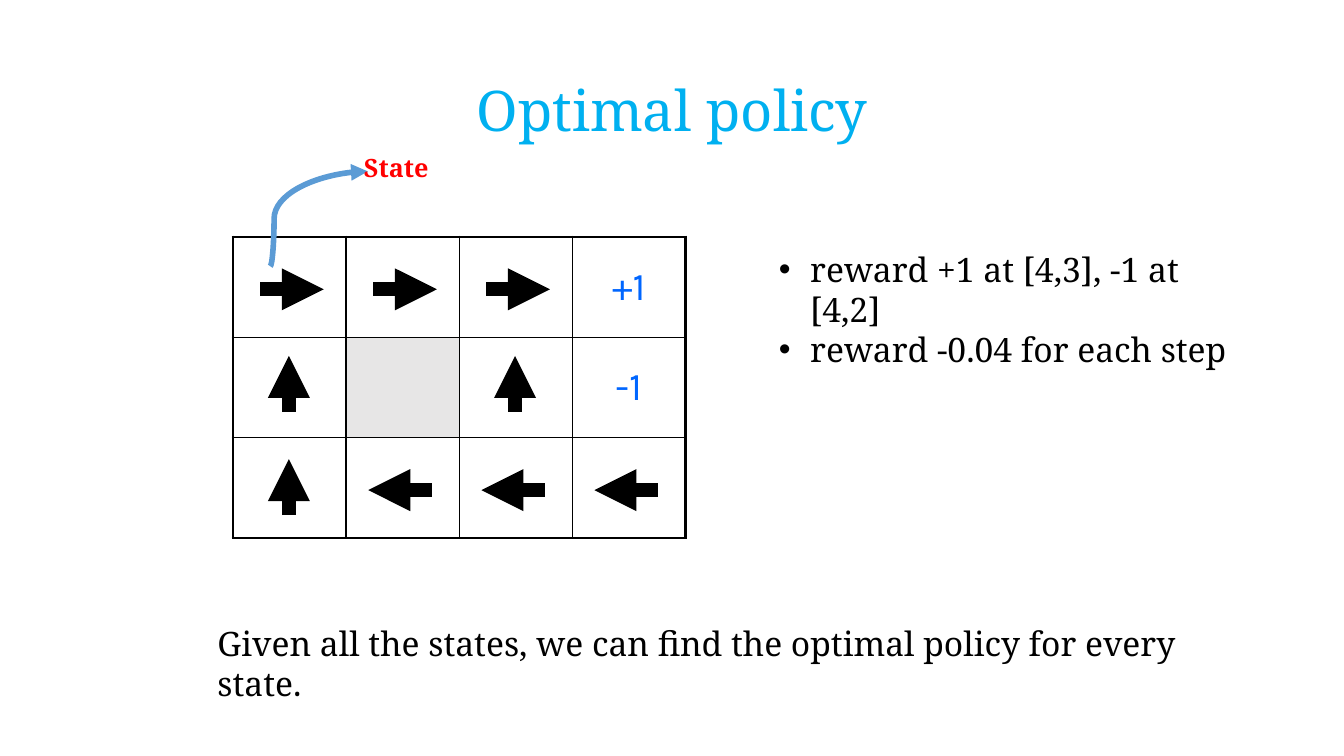
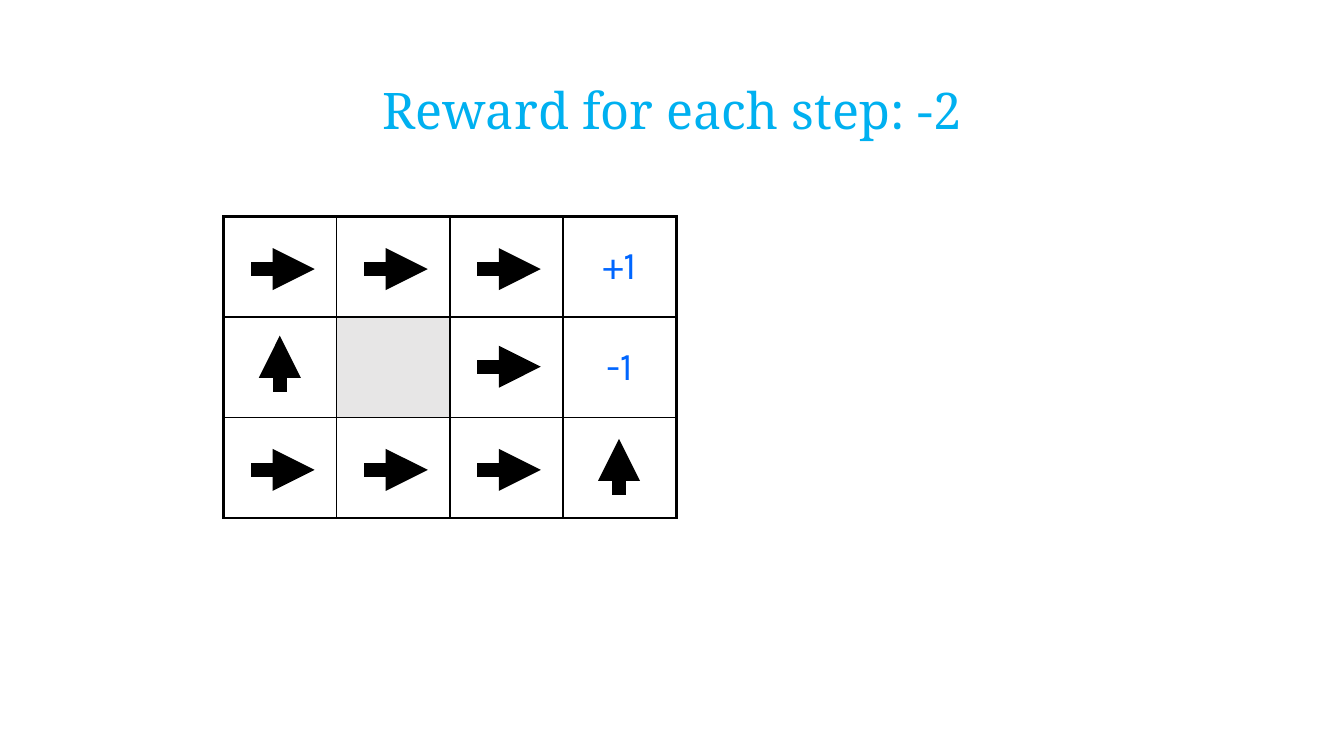
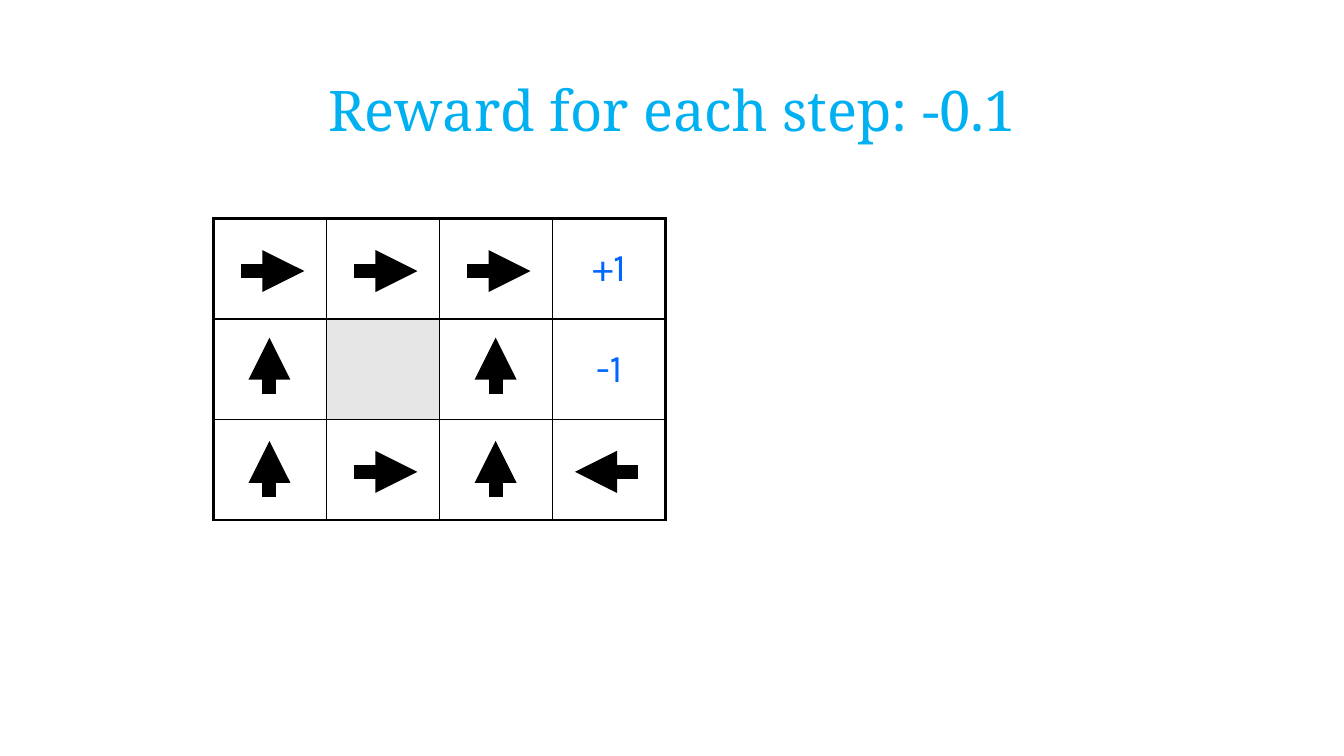
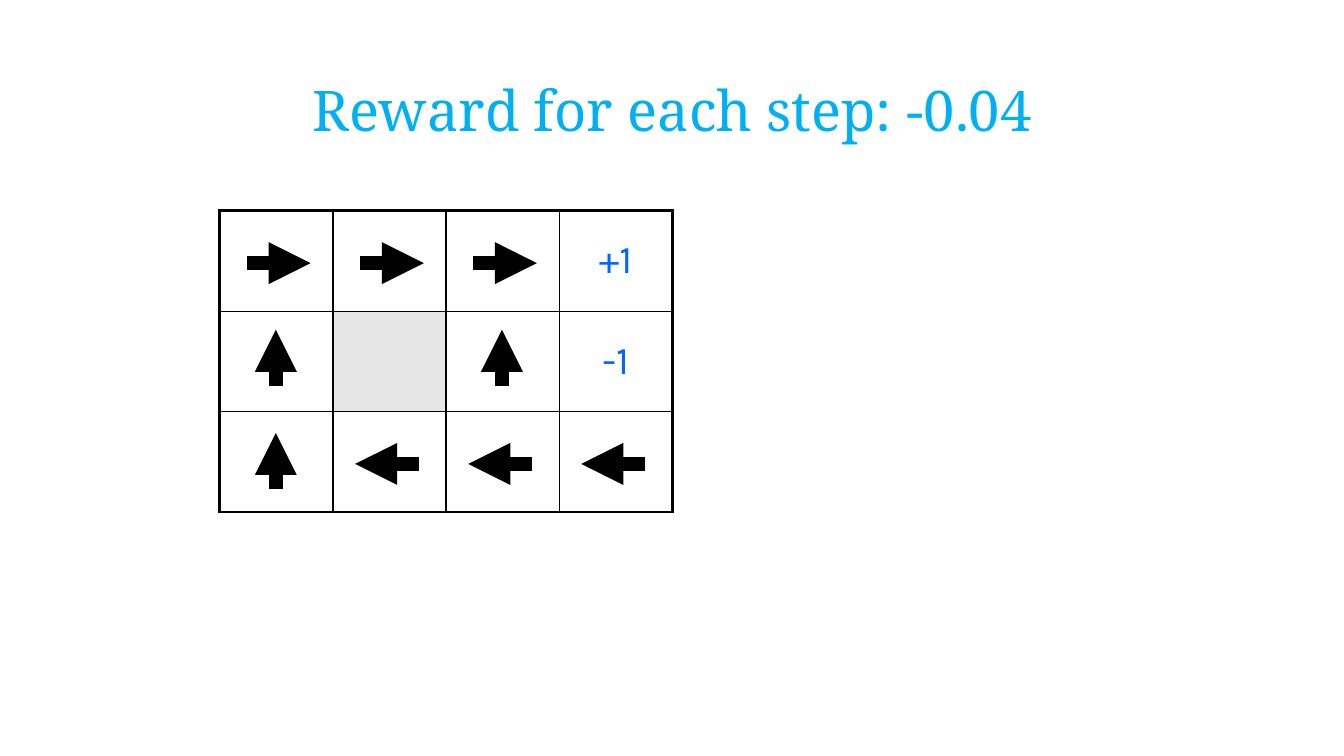
from lxml import etree
from pptx import Presentation
from pptx import util as u
from pptx.dml.color import RGBColor
from pptx.enum import shapes, text
from pptx.oxml.ns import qn

HUES = {"title": "00B0F0", "ink": "000000", "mark": "0066FF",
        "wall": "E7E6E6", "curve": "5B9BD5", "state": "FF0000"}
SERIF, SANS = "Noto Serif", "Karla"
WIDE, HIGH = 2.85, 2.53
MOVES = {"R": (0.69, 1.32, 2.29, 1.32),
         "L": (2.16, 1.32, 0.56, 1.32),
         "U": (1.41, 1.95, 1.41, 0.54)}
SHIFT = (0, -0.07, 0)
PRIZES = {"+": "+1", "-": "-1"}


def hue(name):
    return RGBColor.from_string(HUES[name])


def node(parent, tag, **attrs):
    return etree.SubElement(parent, qn(tag), attrs)


def write(frame, lines, size, color="ink", font=SERIF, bold=False,
          align=None, gap=None, before=None, bullet=False):
    for i, line in enumerate(lines):
        para = frame.paragraphs[0] if i == 0 else frame.add_paragraph()
        para.alignment = align
        para.line_spacing = gap
        para.space_before = before
        if bullet:
            props = para._p.get_or_add_pPr()
            props.set("marL", str(u.Cm(0.79)))
            props.set("indent", str(-u.Cm(0.79)))
            node(props, "a:buFont", typeface="Arial")
            node(props, "a:buChar", char="•")
        run = para.add_run()
        run.text = line
        run.font.size = u.Pt(size)
        run.font.name = font
        run.font.bold = bold
        run.font.color.rgb = hue(color)


class Deck:
    def __init__(self):
        self.prs = Presentation()
        self.prs.slide_width = u.Cm(33.87)
        self.prs.slide_height = u.Cm(19.05)

    def page(self, title, size=40):
        self.slide = self.prs.slides.add_slide(self.prs.slide_layouts[5])
        head = self.slide.shapes.title
        head.left, head.top = u.Cm(2.33), u.Cm(1.01)
        head.width, head.height = u.Cm(29.21), u.Cm(3.68)
        head.text_frame.vertical_anchor = text.MSO_ANCHOR.MIDDLE
        write(head.text_frame, [title], size, "title",
              align=text.PP_ALIGN.CENTER, gap=0.9)

    def box(self, left, top, width, height, lines, size, **style):
        area = self.slide.shapes.add_textbox(
            u.Cm(left), u.Cm(top), u.Cm(width), u.Cm(height))
        area.text_frame.word_wrap = True
        write(area.text_frame, lines, size, **style)

    def arrow(self, x1, y1, x2, y2, color="ink", weight=10,
              kind=shapes.MSO_CONNECTOR.STRAIGHT, bend=None):
        line = self.slide.shapes.add_connector(
            kind, u.Cm(x1), u.Cm(y1), u.Cm(x2), u.Cm(y2))
        line.line.width = u.Pt(weight)
        line.line.color.rgb = hue(color)
        node(line.line._get_or_add_ln(), "a:tailEnd", type="triangle")
        props = line._element.spPr
        node(props, "a:effectLst")
        if bend is not None:
            guides = props.find(qn("a:prstGeom")).find(qn("a:avLst"))
            node(guides, "a:gd", name="adj1", fmla=f"val {bend}")

    def edge(self, cell, side, weight):
        line = node(cell._tc.get_or_add_tcPr(), f"a:ln{side}",
                    w=str(u.Pt(weight)))
        fill = node(line, "a:solidFill")
        node(fill, "a:srgbClr", val=HUES["ink"])

    def cell(self, cell, sign, outer):
        for side in "LRTB":
            self.edge(cell, side, 2.25 if side in outer else 1)
        if sign == "#":
            cell.fill.solid()
            cell.fill.fore_color.rgb = hue("wall")
        else:
            cell.fill.background()
        if sign in PRIZES:
            cell.vertical_anchor = text.MSO_ANCHOR.MIDDLE
            write(cell.text_frame, [PRIZES[sign]], 28, "mark", SANS,
                  align=text.PP_ALIGN.CENTER, before=u.Pt(5.6))

    def grid(self, left, top, policy):
        rows, cols = len(policy), len(policy[0])
        table = self.slide.shapes.add_table(
            rows, cols, u.Cm(left), u.Cm(top),
            u.Cm(cols * WIDE), u.Cm(rows * HIGH)).table
        table.first_row = table.horz_banding = False
        for r, signs in enumerate(policy):
            for c, sign in enumerate(signs):
                outer = [side for side, on in (
                    ("L", c == 0), ("R", c == cols - 1),
                    ("T", r == 0), ("B", r == rows - 1)) if on]
                self.cell(table.cell(r, c), sign, outer)
                if sign in MOVES:
                    x1, y1, x2, y2 = MOVES[sign]
                    x = left + c * WIDE
                    y = top + r * HIGH + SHIFT[r]
                    self.arrow(x + x1, y + y1, x + x2, y + y2)


BEST = ("RRR+", "U#U-", "ULLL")
deck = Deck()

deck.page("Optimal policy")
deck.grid(5.87, 5.97, BEST)
deck.box(19.38, 6.15, 12.17, 2.31,
         ["reward +1 at [4,3], -1 at [4,2]", "reward -0.04 for each step"],
         24, bullet=True, gap=u.Pt(28.6))
deck.box(5.23, 15.57, 25.15, 1.27,
         ["Given all the states, we can find the optimal policy "
          "for every state."], 24, gap=u.Pt(28.6))
deck.arrow(6.81, 6.71, 9.27, 4.32, "curve", 4,
           shapes.MSO_CONNECTOR.CURVE, 4000)
deck.box(8.92, 3.71, 2.18, 1.02, ["State"], 18, color="state", bold=True,
         gap=u.Pt(21.5))

deck.page("Reward for each step: -2", 36)
deck.grid(5.64, 5.46, ("RRR+", "U#R-", "RRRU"))

deck.page("Reward for each step: -0.1")
deck.grid(5.38, 5.51, ("RRR+", "U#U-", "URUL"))

deck.page("Reward for each step: -0.04")
deck.grid(5.54, 5.31, BEST)

deck.prs.save("out.pptx")
